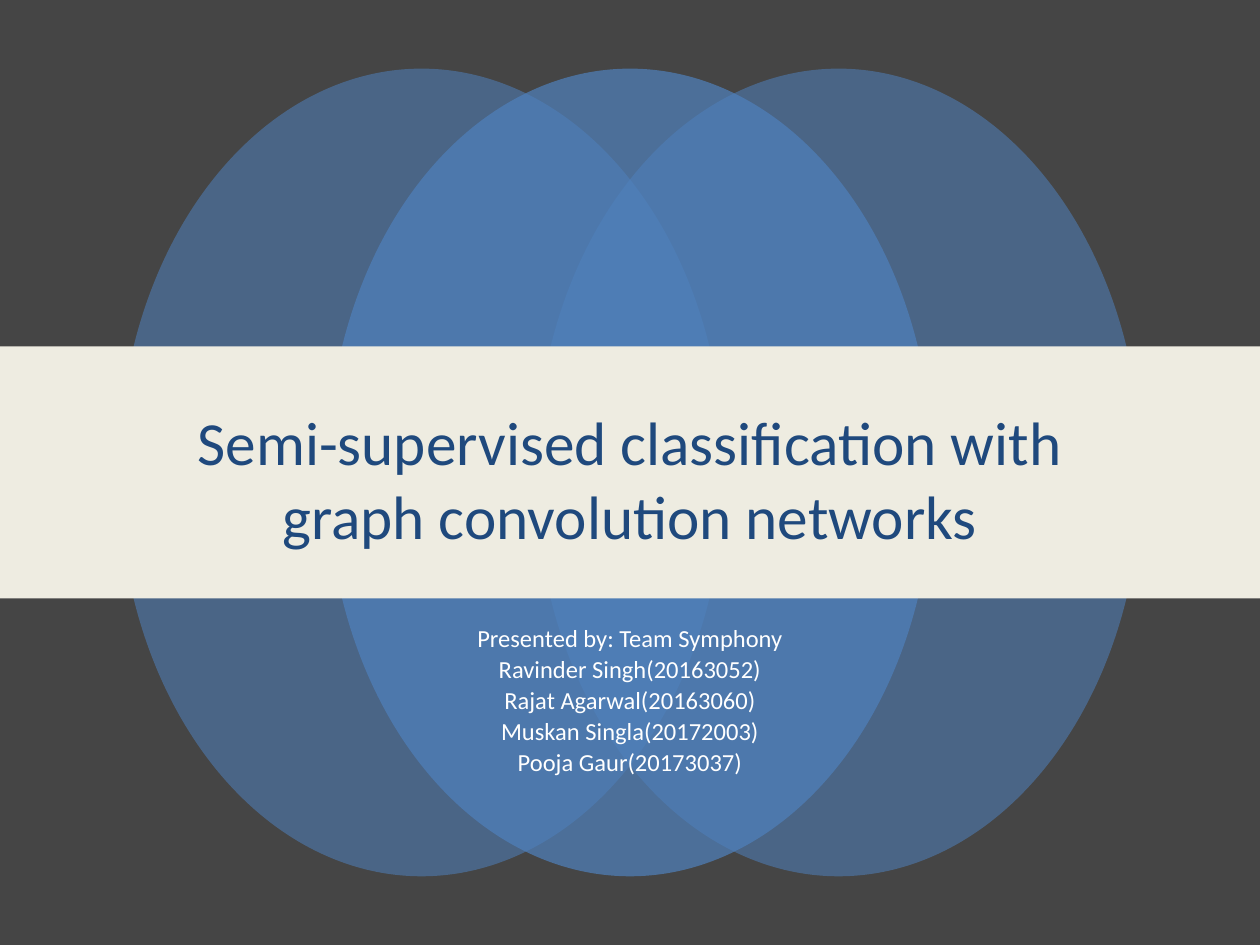
from dataclasses import dataclass

from lxml import etree
from pptx import Presentation
from pptx import util as u
from pptx.dml.color import RGBColor
from pptx.enum import shapes, text
from pptx.oxml.ns import qn


@dataclass(frozen=True)
class Theme:
    font: str = "Calibri"
    background: str = "454545"
    circle: str = "4F81BD"
    band: str = "EEECE1"
    title: str = "1F497D"
    team: str = "FFFFFF"
    title_size: float = 35
    team_size: float = 14


THEME = Theme()
WIDTH, HEIGHT = u.Inches(10), u.Inches(7.5)
TITLE = "Semi-supervised classification with graph convolution networks"
TEAM = [
    "Presented by: Team Symphony",
    "Ravinder Singh(20163052)",
    "Rajat Agarwal(20163060)",
    "Muskan Singla(20172003)",
    "Pooja Gaur(20173037)",
]


def area(left, top, width, height):
    """Turn inches into a left, top, width, height tuple of lengths."""
    return tuple(u.Inches(length) for length in (left, top, width, height))


def add_filled(parent, preset, box, color, opacity=100):
    shape = parent.shapes.add_shape(preset, *box)
    shape.shadow.inherit = False
    shape.line.fill.background()
    shape.fill.solid()
    shape.fill.fore_color.rgb = RGBColor.from_string(color)
    if opacity < 100:
        srgb = shape.element.spPr.find(".//" + qn("a:srgbClr"))
        etree.SubElement(srgb, qn("a:alpha"), val=str(opacity * 1000))


def write(shape, lines, *, size, color, anchor, spacing=1.0, gap=0):
    frame = shape.text_frame
    frame.word_wrap = True
    frame.auto_size = text.MSO_AUTO_SIZE.NONE
    frame.vertical_anchor = anchor
    frame.text = "\n".join(lines)
    for index, paragraph in enumerate(frame.paragraphs):
        paragraph.alignment = text.PP_ALIGN.CENTER
        paragraph.line_spacing = spacing
        paragraph.space_before = u.Pt(gap if index else 0)
        paragraph.font.name = THEME.font
        paragraph.font.size = u.Pt(size)
        paragraph.font.color.rgb = RGBColor.from_string(color)


def add_circles(slide):
    """Draw overlapping ellipses about the centre, the middle one in front."""
    width, height, step = 4.81, 6.41, 1.655
    group = slide.shapes.add_group_shape()
    for offset, opacity in ((-1, 55), (1, 55), (0, 70)):
        left = (WIDTH.inches - width) / 2 + offset * step
        top = (HEIGHT.inches - height) / 2
        add_filled(group, shapes.MSO_SHAPE.OVAL, area(left, top, width, height),
                   THEME.circle, opacity)


def add_title(slide):
    title = slide.shapes.title
    title.left, title.top, title.width, title.height = area(1.25, 3.04, 7.5, 1.51)
    write(title, [TITLE], size=THEME.title_size, color=THEME.title,
          anchor=text.MSO_ANCHOR.MIDDLE)
    # Bring the title in front of the band
    title.element.getparent().append(title.element)


def add_team(slide):
    team = slide.shapes.add_textbox(*area(1.25, 4.92, 7.5, 0.83))
    write(team, TEAM, size=THEME.team_size, color=THEME.team,
          anchor=text.MSO_ANCHOR.TOP, spacing=0.9, gap=2.6)


def main():
    deck = Presentation()
    deck.slide_width, deck.slide_height = WIDTH, HEIGHT
    slide = deck.slides.add_slide(deck.slide_layouts.get_by_name("Title Only"))
    slide.background.fill.solid()
    slide.background.fill.fore_color.rgb = RGBColor.from_string(THEME.background)
    add_circles(slide)
    add_filled(slide, shapes.MSO_SHAPE.RECTANGLE, area(0, 2.75, 10, 2), THEME.band)
    add_title(slide)
    add_team(slide)
    deck.save("out.pptx")


if __name__ == "__main__":
    main()
